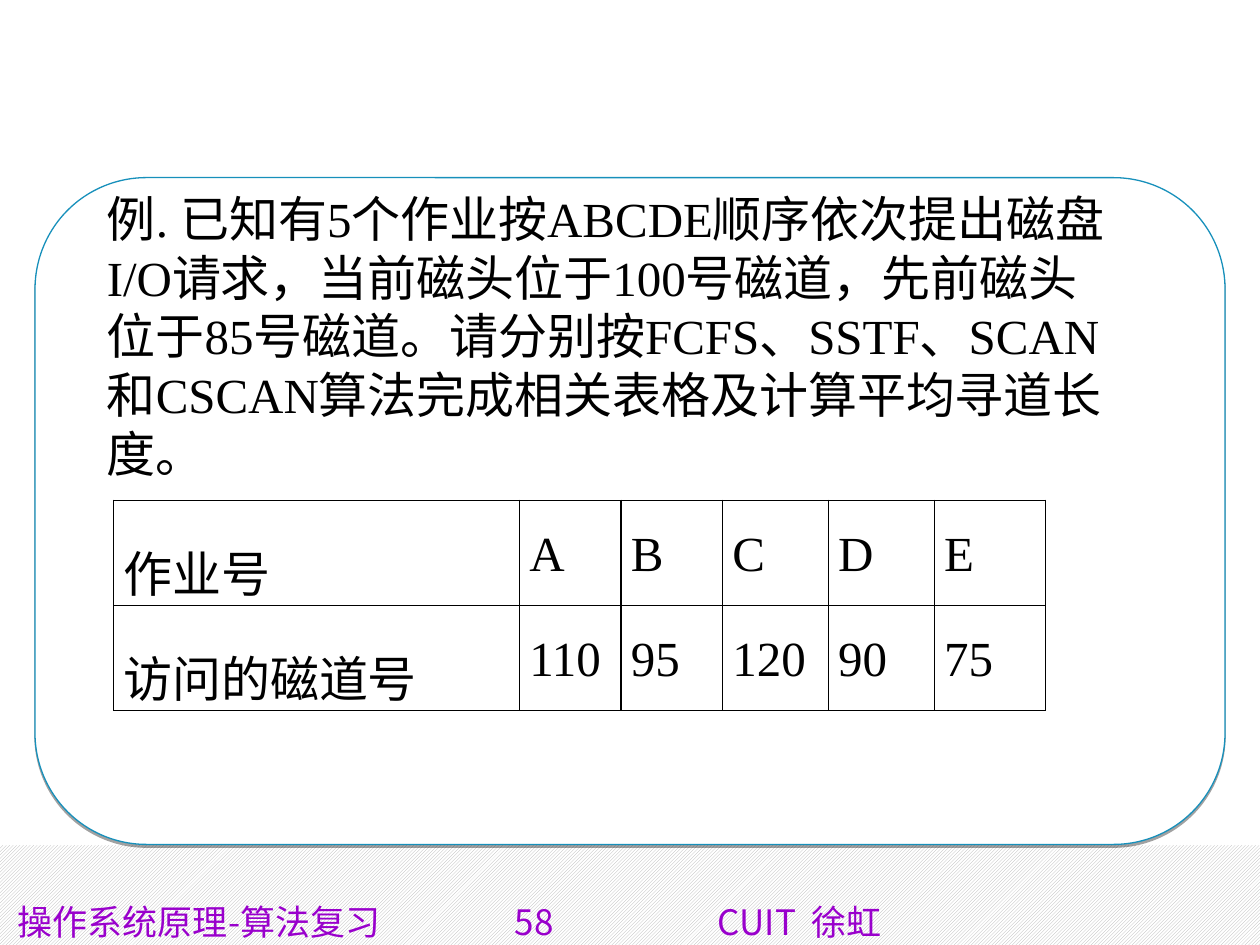
from lxml.etree import SubElement
from pptx import Presentation
from pptx.dml.color import RGBColor
from pptx.enum.dml import MSO_PATTERN
from pptx.enum.shapes import MSO_SHAPE
from pptx.enum.text import PP_ALIGN
from pptx.oxml import parse_xml
from pptx.oxml.ns import nsdecls, qn
from pptx.util import Pt

COLORS = {"white": "FFFFFF", "stripe": "B2B2B2", "outline": "1790BB",
          "black": "000000", "footer": "9900CC"}
BODY_FONT = "Times New Roman"
FOOTER_FONT = "Noto Sans CJK SC"


def color(name):
    return RGBColor.from_string(COLORS[name])


def style(para, font, size, name):
    para.font.name = font
    para.font.size = Pt(size)
    para.font.color.rgb = color(name)


deck = Presentation()
deck.slide_width, deck.slide_height = Pt(720), Pt(540)
page = deck.slides.add_slide(deck.slide_layouts[6])
shapes = page.shapes

band = shapes.add_shape(MSO_SHAPE.RECTANGLE, Pt(0), Pt(483), Pt(720), Pt(57))
band.shadow.inherit = False
band.fill.patterned()
band.fill.pattern = MSO_PATTERN.DARK_UPWARD_DIAGONAL
band.fill.fore_color.rgb = color("stripe")
band.fill.back_color.rgb = color("white")
band.line.fill.background()

panel = shapes.add_shape(MSO_SHAPE.ROUNDED_RECTANGLE, Pt(20), Pt(101.5), Pt(680), Pt(381))
panel.adjustments[0] = 0.167
panel.fill.solid()
panel.fill.fore_color.rgb = color("white")
panel.line.color.rgb = color("outline")
panel.line.width = Pt(0.75)
panel.shadow.inherit = False
panel.element.spPr.find(qn("a:effectLst")).append(parse_xml(
    f'<a:outerShdw {nsdecls("a")} blurRad="0" dist="{Pt(1.6)}" dir="5400000" rotWithShape="0">'
    f'<a:srgbClr val="{COLORS["black"]}"><a:alpha val="37000"/></a:srgbClr></a:outerShdw>'))

footer = shapes.add_textbox(Pt(3), Pt(511), Pt(720), Pt(29))
footer.text_frame.word_wrap = True
para = footer.text_frame.paragraphs[0]
para.text = "操作系统原理-算法复习\t58\tCUIT  徐虹"
tabs = SubElement(para._p.get_or_add_pPr(), qn("a:tabLst"))
for position in (284, 400):
    SubElement(tabs, qn("a:tab"), pos=str(Pt(position)), algn="l")
style(para, FOOTER_FONT, 20, "footer")

rows = [["作业号", "A", "B", "C", "D", "E"],
        ["访问的磁道号", "110", "95", "120", "90", "75"]]
widths = [232, 58, 58, 60.5, 60.5, 63.5]
table = shapes.add_table(2, 6, Pt(65), Pt(286), Pt(sum(widths)), Pt(120)).table
for column, width in zip(table.columns, widths):
    column.width = Pt(width)
for row_index, values in enumerate(rows):
    table.rows[row_index].height = Pt(60)
    for column_index, value in enumerate(values):
        cell = table.cell(row_index, column_index)
        cell.margin_left = cell.margin_right = Pt(5.5)
        cell.margin_top = cell.margin_bottom = Pt(0)
        for side in ("lnL", "lnR", "lnT", "lnB"):
            border = SubElement(cell._tc.get_or_add_tcPr(), qn(f"a:{side}"), w=str(Pt(1)))
            fill = SubElement(border, qn("a:solidFill"))
            SubElement(fill, qn("a:srgbClr"), val=COLORS["black"])
        cell.fill.background()
        para = cell.text_frame.paragraphs[0]
        para.text = value
        para.line_spacing = 1.5
        if row_index and column_index:
            para.alignment = PP_ALIGN.JUSTIFY
        style(para, BODY_FONT, 28, "black")
        para.font.bold = False

question = shapes.add_textbox(Pt(54), Pt(104), Pt(595.5), Pt(206))
question.text_frame.word_wrap = True
para = question.text_frame.paragraphs[0]
para.text = ("例. 已知有5个作业按ABCDE顺序依次提出磁盘I/O请求，当前磁头位于100号磁道，"
             "先前磁头位于85号磁道。请分别按FCFS、SSTF、SCAN和CSCAN算法"
             "完成相关表格及计算平均寻道长度。")
style(para, BODY_FONT, 28, "black")

deck.save("out.pptx")
